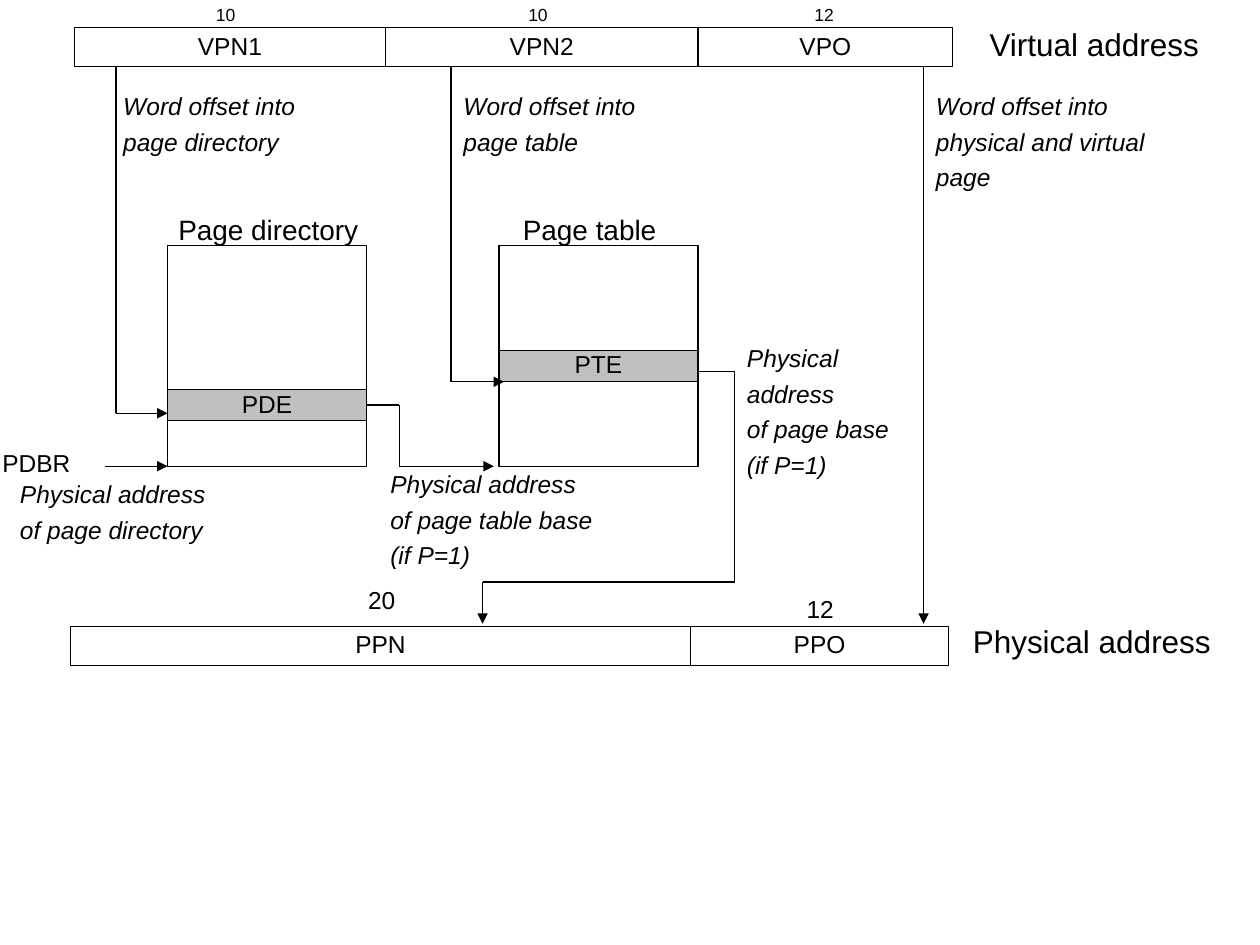
from itertools import pairwise

from lxml.etree import SubElement
from pptx import Presentation
from pptx.dml.color import RGBColor
from pptx.enum.shapes import MSO_CONNECTOR, MSO_SHAPE
from pptx.enum.text import MSO_ANCHOR, MSO_AUTO_SIZE, PP_ALIGN
from pptx.oxml.ns import qn
from pptx.util import Inches, Pt

rgb = RGBColor.from_string
BLACK, WHITE, GRAY = "000000", "FFFFFF", "C0C0C0"

prs = Presentation()
prs.slide_width, prs.slide_height = Inches(10), Inches(7.5)
s = prs.slides.add_slide(prs.slide_layouts[6])


def write(tf, text, size=14, align=PP_ALIGN.CENTER, italic=False):
    tf.word_wrap = False
    for i, line in enumerate(text.split("\n")):
        p = tf.paragraphs[0] if i == 0 else tf.add_paragraph()
        p.alignment = align
        p.line_spacing = 0.9
        p.space_before = Pt(5.2 if i else 0)
        r = p.add_run()
        r.text = line
        font = {"name": "Arial", "size": Pt(size), "italic": italic}
        for key, value in font.items():
            setattr(r.font, key, value)
        r.font.color.rgb = rgb(BLACK)


def add_box(x, y, w, h, text="", fill=WHITE):
    sp = s.shapes.add_shape(MSO_SHAPE.RECTANGLE, *map(Inches, (x, y, w, h)))
    sp.shadow.inherit = False
    sp.fill.solid()
    sp.fill.fore_color.rgb = rgb(fill)
    sp.line.color.rgb = rgb(BLACK)
    sp.line.width = Pt(0.75)
    if text:
        sp.text_frame.vertical_anchor = MSO_ANCHOR.MIDDLE
        write(sp.text_frame, text)
    return sp


# Address bars: left, top and fields
field_h = 0.31
virtual_top, physical_top = 0.22, 4.97
bars = [
    (0.59, virtual_top, [("VPN1", 2.47), ("VPN2", 2.48), ("VPO", 2.02)]),
    (0.56, physical_top, [("PPN", 4.92), ("PPO", 2.05)]),
]
for x, y, fields in bars:
    for name, w in fields:
        add_box(x, y, w, field_h, name)
        x += w

# Tables, each with one highlighted entry
table_w, table_top, table_h, entry_h = 1.58, 1.95, 1.75, 0.25
directory_x, table_x = 1.33, 3.96
pde_y, pte_y = 3.09, 2.78
for x in (directory_x, table_x):
    add_box(x, table_top, table_w, table_h)
pde = add_box(directory_x, pde_y, table_w, entry_h, "PDE", GRAY)
add_box(table_x, pte_y, table_w, entry_h, "PTE", GRAY)

# Labels: left, top, width, height, size, text
centered = [
    (1.59, 0, 0.4, 0.25, 10, "10"),
    (4.07, 0, 0.4, 0.25, 10, "10"),
    (6.34, 0, 0.4, 0.25, 10, "12"),
    (2.78, 4.62, 0.5, 0.31, 14, "20"),
    (6.26, 4.69, 0.5, 0.31, 14, "12"),
    (1.28, 1.67, 1.7, 0.34, 16, "Page directory"),
    (4.03, 1.67, 1.3, 0.34, 16, "Page table"),
    (7.71, 0.18, 1.95, 0.37, 18, "Virtual address"),
    (7.57, 4.92, 2.19, 0.37, 18, "Physical address"),
]
notes = [
    (0.88, 0.7, 1.7, 0.59, "Word offset into\npage directory"),
    (3.58, 0.7, 1.7, 0.59, "Word offset into\npage table"),
    (7.33, 0.7, 1.95, 0.87, "Word offset into\nphysical and virtual\npage"),
    (0.06, 3.78, 1.75, 0.59, "Physical address\nof page directory"),
    (3, 3.7, 1.9, 0.87, "Physical address\nof page table base\n(if P=1)"),
    (5.83, 2.7, 1.4, 1.16, "Physical\naddress\nof page base\n(if P=1)"),
]
labels = [(*at, text, size, PP_ALIGN.CENTER, False) for *at, size, text in centered]
labels += [(*at, text, 14, PP_ALIGN.LEFT, True) for *at, text in notes]
labels.append((-0.08, 3.53, 0.8, 0.31, "PDBR", 14, PP_ALIGN.LEFT, False))
for x, y, w, h, *style in labels:
    tf = s.shapes.add_textbox(*map(Inches, (x, y, w, h))).text_frame
    write(tf, *style)
    tf.auto_size = MSO_AUTO_SIZE.SHAPE_TO_FIT_TEXT

# Routes: joined box and corner points, with an arrowhead on the last segment
bar_bottom = virtual_top + field_h
table_bottom = table_top + table_h
pde_mid = pde_y + entry_h / 2
routes = [
    (None, [(0.92, bar_bottom), (0.92, 3.28), (directory_x, 3.28)]),
    (None, [(0.83, table_bottom), (directory_x, table_bottom)]),
    (None, [(3.58, bar_bottom), (3.58, 3.03), (4, 3.03)]),
    (None, [(7.33, bar_bottom), (7.33, 4.95)]),
    (pde, [(directory_x + table_w, pde_mid), (3.17, pde_mid),
           (3.17, table_bottom), (3.92, table_bottom)]),
    (None, [(table_x + table_w, 2.95), (5.83, 2.95), (5.83, 4.62),
            (3.83, 4.62), (3.83, 4.95)]),
]
for source, points in routes:
    for i, (start, end) in enumerate(pairwise(points)):
        c = s.shapes.add_connector(MSO_CONNECTOR.STRAIGHT, *map(Inches, start + end))
        c.line.color.rgb = rgb(BLACK)
        c.line.width = Pt(0.75)
        if source is not None and i == 0:
            c.begin_connect(source, 3)
        spPr = c._element.spPr
        if i == len(points) - 2:
            SubElement(spPr.find(qn("a:ln")), qn("a:tailEnd"), type="triangle")
        SubElement(spPr, qn("a:effectLst"))

prs.save("out.pptx")
